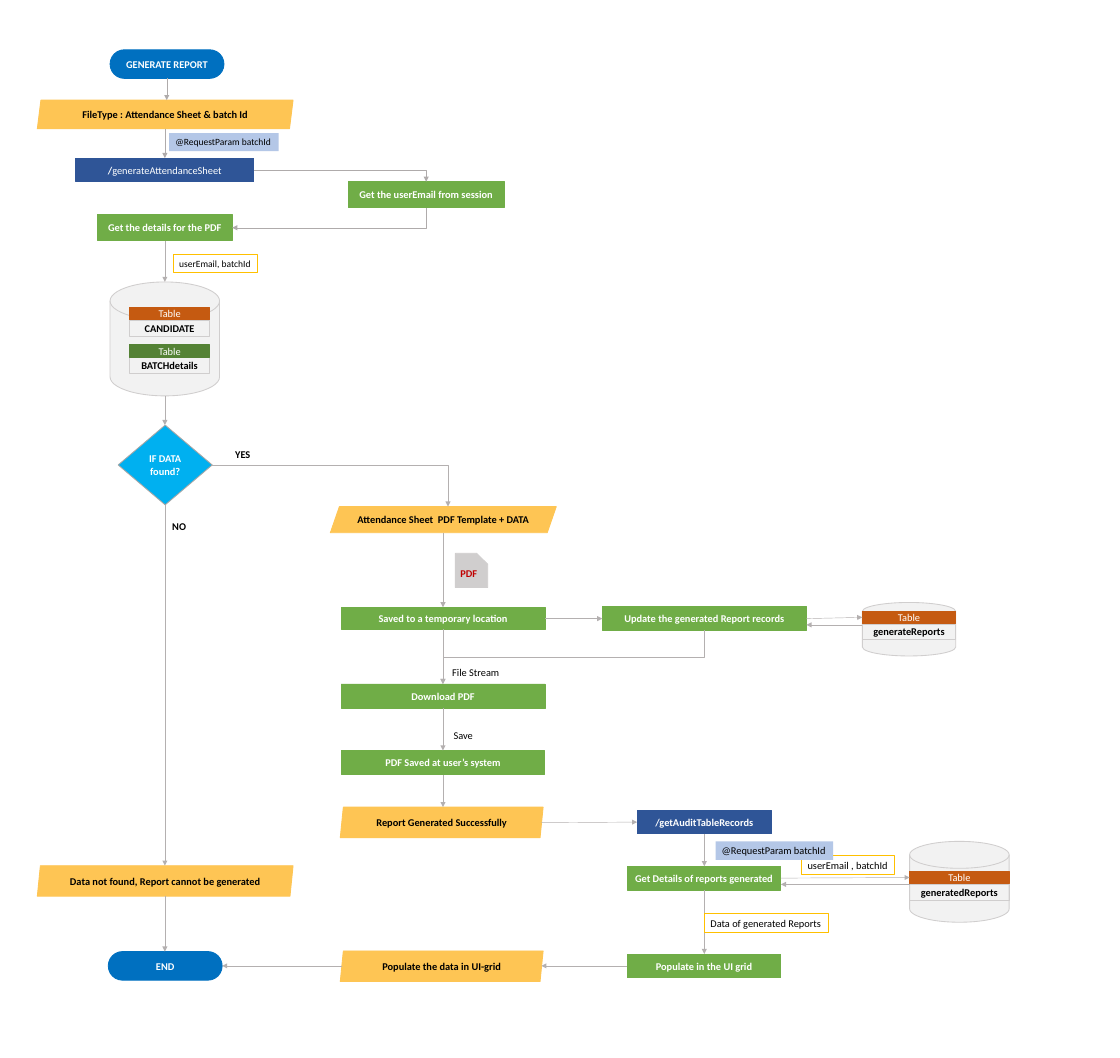
from dataclasses import dataclass

from lxml.etree import SubElement
from pptx import Presentation
from pptx.dml.color import RGBColor as Rgb
from pptx.enum.shapes import MSO_CONNECTOR as Link, MSO_SHAPE as Form
from pptx.enum.text import MSO_ANCHOR as Anchor, MSO_AUTO_SIZE as Fit, PP_ALIGN as Align
from pptx.oxml.ns import qn
from pptx.util import Pt


@dataclass(frozen=True)
class Theme:
    font: str = "Calibri"
    size: float = 12
    small: float = 11
    ink: str = "000000"
    white: str = "FFFFFF"
    terminal: str = "0070C0"
    data: str = "FEC554"
    endpoint: str = "2F5597"
    step: str = "70AD47"
    decision: str = "00B0F0"
    decision_edge: str = "A6A6A6"
    store: str = "F2F2F2"
    edge: str = "D0CECE"
    rust: str = "C55A11"
    moss: str = "548235"
    red: str = "C00000"
    note_edge: str = "FFC000"
    param: str = "B4C7E7"
    arrow: str = "B4B0B0"
    entry_arrow: str = "AFABAB"


class FlowChart:
    def __init__(self, page, theme):
        self.page, self.theme = page, theme

    def add_runs(self, frame, runs, color, size):
        """Add (text, bold) runs to the first paragraph."""
        para = frame.paragraphs[0]
        for text, bold in runs:
            span = para.add_run()
            span.text = text
            span.font.name, span.font.size = self.theme.font, Pt(size)
            span.font.bold = bold
            span.font.color.rgb = Rgb.from_string(color)
        return para

    def paint(self, box, fill, edge, width=1):
        if fill:
            box.fill.solid()
            box.fill.fore_color.rgb = Rgb.from_string(fill)
        else:
            box.fill.background()
        if edge:
            box.line.color.rgb = Rgb.from_string(edge)
            box.line.width = Pt(width)
        else:
            box.line.fill.background()

    def block(self, form, place, runs, fill, edge=None, color=None, adjust=None, inset=4.3):
        box = self.page.shapes.add_shape(form, *map(Pt, place))
        box.shadow.inherit = False
        self.paint(box, fill, edge or fill)
        if adjust is not None:
            box.adjustments[0] = adjust
        frame = box.text_frame
        frame.word_wrap, frame.vertical_anchor = True, Anchor.MIDDLE
        frame.margin_left = frame.margin_right = Pt(inset)
        frame.margin_top = frame.margin_bottom = Pt(2.2)
        para = self.add_runs(frame, runs, color or self.theme.white, self.theme.size)
        para.alignment = Align.CENTER

    def step(self, text, *place):
        self.block(Form.RECTANGLE, place, [(text, True)], self.theme.step)

    def endpoint(self, runs, *place):
        self.block(Form.RECTANGLE, place, runs, self.theme.endpoint)

    def terminal(self, text, *place):
        self.block(Form.ROUNDED_RECTANGLE, place, [(text, True)], self.theme.terminal, adjust=0.5)

    def data(self, text, slant, *place):
        self.block(Form.PARALLELOGRAM, place, [(text, True)], self.theme.data,
                   color=self.theme.ink, adjust=slant)

    def store(self, *place):
        self.block(Form.FLOWCHART_MAGNETIC_DISK, place, [], self.theme.store, self.theme.edge)

    def entity(self, name, color, left, top, width, height=18.7):
        """A table in a store: its name under a coloured header."""
        self.block(Form.RECTANGLE, (left, top + 15, width, height), [(name, True)], None,
                   self.theme.edge, self.theme.ink)
        self.block(Form.RECTANGLE, (left, top, width, 14.4), [("Table", False)], color)

    def label(self, text, place, fill=None, edge=None, size=None, bold=False, wrap=False):
        box = self.page.shapes.add_textbox(*map(Pt, place))
        self.paint(box, fill, edge, 0.75)
        box.text_frame.word_wrap = wrap
        box.text_frame.auto_size = Fit.SHAPE_TO_FIT_TEXT
        self.add_runs(box.text_frame, [(text, bold)], self.theme.ink, size or self.theme.size)

    def arrow(self, x1, y1, x2, y2, color=None, link=Link.STRAIGHT):
        line = self.page.shapes.add_connector(link, *map(Pt, (x1, y1, x2, y2)))
        line.line.color.rgb = Rgb.from_string(color or self.theme.arrow)
        line.line.width = Pt(0.5)
        props = line.element.spPr
        SubElement(props.find(qn("a:ln")), qn("a:tailEnd"), type="triangle")
        SubElement(props, qn("a:effectLst"))
        return props

    def elbow(self, x1, y1, x2, y2, bends=1, color=None):
        """Right then down, or turned by 90 degrees: down then left."""
        turned = x2 < x1
        if turned:
            middle_x, middle_y = (x1 + x2) / 2, (y1 + y2) / 2
            half_w, half_h = (y2 - y1) / 2, (x1 - x2) / 2
            x1, x2 = middle_x - half_w, middle_x + half_w
            y1, y2 = middle_y - half_h, middle_y + half_h
        props = self.arrow(x1, y1, x2, y2, color, Link.ELBOW)
        if turned:
            props.find(qn("a:xfrm")).set("rot", "5400000")
        props.find(qn("a:prstGeom")).set("prst", f"bentConnector{bends + 1}")


def main():
    deck = Presentation()
    deck.slide_width, deck.slide_height = Pt(1296), Pt(1224)
    theme = Theme()
    chart = FlowChart(deck.slides.add_slide(deck.slide_layouts[6]), theme)
    left, middle, right = 190.8, 512.6, 815

    # Label that sits behind the request parameter
    chart.label("userEmail , batchId", (927.4, 990, 108, 21.6), edge=theme.note_edge)

    # Request and lookup
    chart.terminal("GENERATE REPORT", 127.4, 57.6, 131.8, 33.1)
    chart.data("FileType : Attendance Sheet & batch Id", 0.125, 43.2, 115.9, 295.9, 33.1)
    chart.endpoint([("/", True), ("generateAttendanceSheet", False)], 87.8, 182.9, 205.9, 27.4)
    chart.step("Get the userEmail from session", 403.2, 210.2, 180, 30.2)
    chart.step("Get the details for the PDF", 113, 248.4, 155.5, 30.2)
    chart.store(127.4, 326.2, 126.7, 131.8)
    chart.entity("BATCHdetails", theme.moss, 149.8, 398.9, 92.9)
    chart.entity("CANDIDATE", theme.rust, 149.8, 355.7, 92.9)
    chart.block(Form.DIAMOND, (136.8, 491.8, 108.7, 92.2), [("IF DATA found?", True)],
                theme.decision, theme.decision_edge, inset=5)

    # No data
    chart.data("Data not found, Report cannot be generated", 0.1, 43.2, 1001.5, 295.9, 35.3)
    chart.terminal("END", 125.3, 1100.9, 131.8, 33.1)

    # Report file
    chart.data("Attendance Sheet  PDF Template + DATA", 0.347, 382.3, 586.1, 261.4, 30.2)
    chart.block(Form.SNIP_1_RECTANGLE, (527, 640.1, 37.4, 39.6), [("PDF", True)],
                theme.edge, color=theme.red, adjust=0.342, inset=5)
    chart.step("Saved to a temporary location", 394.6, 702.7, 236.2, 25.2)
    chart.step("Update the generated Report records", 697, 701.3, 236.2, 28.1)
    chart.store(997.9, 697, 108, 61.9)
    chart.entity("generateReports", theme.rust, 997.9, 707, 108, 17.3)
    chart.step("Download PDF", 394.6, 791.3, 236.2, 28.1)
    chart.step("PDF Saved at user’s system", 395.3, 868.3, 234.7, 28.1)
    chart.data("Report Generated Successfully", 0.1, 393.8, 933.8, 234.7, 35.3)

    # Audit records
    chart.endpoint([("/getAuditTableRecords", True)], 737.3, 937.4, 155.5, 27.4)
    chart.step("Get Details of reports generated", 725.8, 1002.2, 177.8, 27.4)
    chart.store(1052.6, 973.4, 115.2, 93.6)
    chart.entity("generatedReports", theme.rust, 1052.6, 1008, 115.2)
    chart.step("Populate in the UI grid", 725.8, 1103.8, 177.8, 27.4)
    chart.data("Populate the data in UI-grid", 0.1, 393.8, 1100.2, 234.7, 35.3)

    # Entry arrows
    chart.arrow(193, 90.7, 193, 115.9, theme.entry_arrow)
    chart.arrow(left, 149, left, 182.9, theme.entry_arrow)
    chart.elbow(293.8, 196.6, 493.2, 210.2, color=theme.entry_arrow)
    chart.elbow(493.2, 240.5, 268.6, 263.5, color=theme.entry_arrow)

    # Downward arrows by column
    columns = {
        left: [(278.6, 326.2), (458.6, 491.8), (584.6, 1001.5), (1036.8, 1100.9)],
        middle: [(617, 702.7), (727.9, 791.3), (819.4, 868.3), (896.4, 933.8)],
        right: [(964.8, 1002.2), (1029.6, 1103.8)],
    }
    for x, spans in columns.items():
        for top, bottom in spans:
            chart.arrow(x, top, x, bottom)

    # Sideways arrows
    for ends in [
        (630.7, 715.7, 697, 715.7),
        (933.1, 715.7, 997.9, 714.2),
        (997.9, 722.9, 933.1, 722.9),
        (626.4, 951.8, 737.3, 951.1),
        (903.6, 1015.9, 1052.6, 1015.2),
        (1052.6, 1023.1, 903.6, 1023.1),
        (725.8, 1117.4, 626.4, 1117.4),
        (395.3, 1117.4, 257, 1117.4),
    ]:
        chart.arrow(*ends)
    chart.elbow(245.5, 538.6, 518.4, 586.1)
    chart.elbow(right, 729.4, middle, 791.3, bends=2)

    # Labels on the arrows
    chart.label("userEmail, batchId", (200.2, 294.5, 97.9, 20.9), edge=theme.note_edge, size=theme.small)
    chart.label("NO", (192.2, 598.3, 30.2, 21.6), bold=True)
    chart.label("YES", (265, 515.5, 65.5, 21.6), bold=True, wrap=True)
    chart.label("Data of generated Reports", (right, 1057, 144, 21.6), edge=theme.note_edge)
    chart.label("File Stream", (516.2, 766.8, 75.6, 21.6), wrap=True)
    chart.label("Save", (517.7, 840.2, 36.7, 21.6))
    chart.label("@RequestParam batchId", (828, 973.4, 136.1, 21.6), fill=theme.param)
    chart.label("@RequestParam batchId", (195.8, 154.1, 126.7, 20.9), fill=theme.param, size=theme.small)

    deck.save("out.pptx")


if __name__ == "__main__":
    main()
